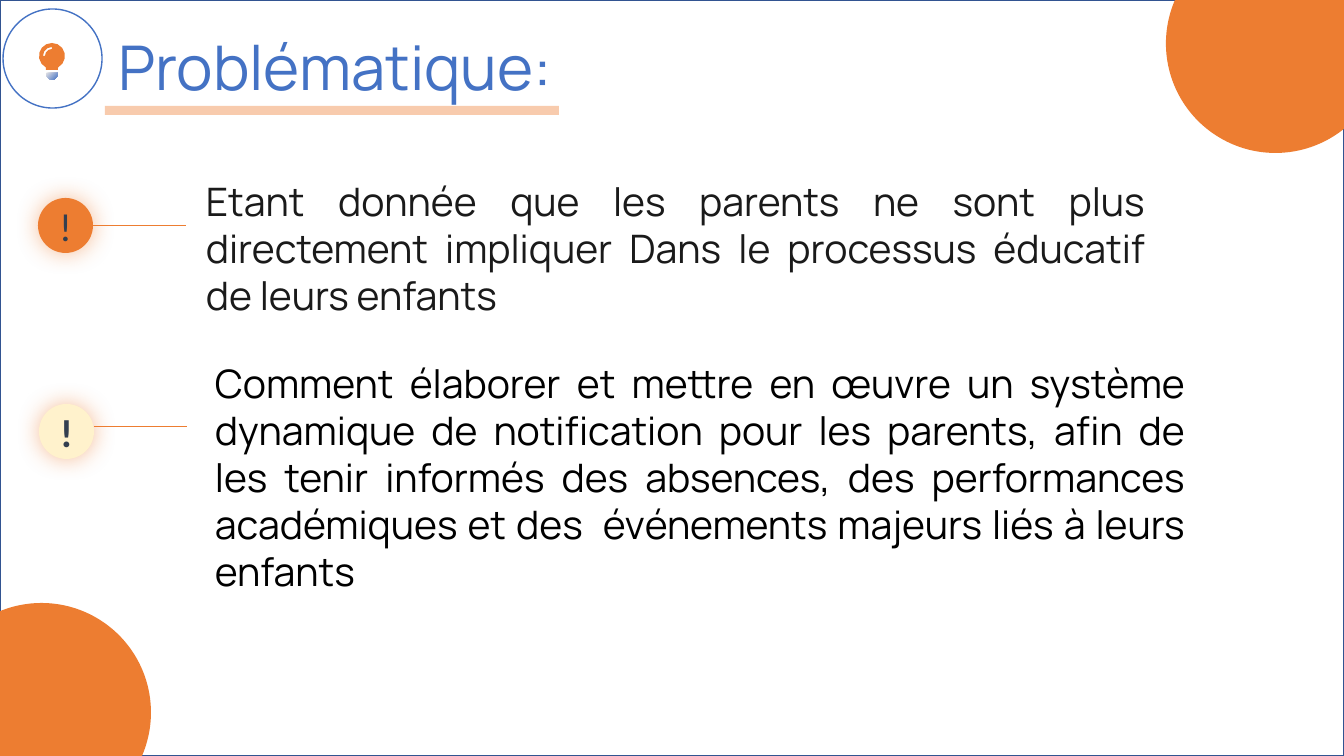
from math import cos, radians, sin

from lxml import etree
from pptx import Presentation
from pptx.dml.color import RGBColor
from pptx.enum.shapes import MSO_CONNECTOR, MSO_SHAPE
from pptx.enum.text import MSO_ANCHOR, MSO_AUTO_SIZE, PP_ALIGN
from pptx.oxml.ns import qn
from pptx.util import Pt

PX = 914400 / 100.8
TITLE_ONLY = 5
OVAL, RECTANGLE = MSO_SHAPE.OVAL, MSO_SHAPE.RECTANGLE
STRAIGHT = MSO_CONNECTOR.STRAIGHT
LEFT, CENTER, JUSTIFY = PP_ALIGN.LEFT, PP_ALIGN.CENTER, PP_ALIGN.JUSTIFY
MIDDLE = MSO_ANCHOR.MIDDLE
NO_AUTOFIT, GROW = MSO_AUTO_SIZE.NONE, MSO_AUTO_SIZE.SHAPE_TO_FIT_TEXT

WHITE = RGBColor(0xFF, 0xFF, 0xFF)
BLACK = RGBColor(0, 0, 0)
CHARCOAL = RGBColor(0x1A, 0x1A, 0x1A)
SLATE = RGBColor(0x33, 0x3F, 0x50)
BLUE = RGBColor(0x44, 0x72, 0xC4)
NAVY = RGBColor(0x32, 0x54, 0x91)
ORANGE = RGBColor(0xED, 0x7D, 0x31)
PEACH = RGBColor(0xF8, 0xCB, 0xAD)
CREAM = RGBColor(0xFF, 0xF2, 0xCC)
GRAY = RGBColor(0xE7, 0xE6, 0xE6)

CONTEXT = ("Etant donnée que les parents ne sont plus directement impliquer "
           "Dans le processus éducatif de leurs enfants")
QUESTION = ("Comment élaborer et mettre en œuvre un système dynamique de "
            "notification pour les parents, afin de les tenir informés des "
            "absences, des performances académiques et des  événements "
            "majeurs liés à leurs enfants")


def px(*values):
    return [round(value * PX) for value in values]


def set_text(shape, text, font_name, size, color, alignment, bold=False):
    shape.text_frame.text = text
    paragraph = shape.text_frame.paragraphs[0]
    paragraph.alignment = alignment
    font = paragraph.font
    font.name, font.size, font.bold = font_name, Pt(size), bold
    font.color.rgb = color
    return paragraph


def set_margins(text_frame, margin):
    text_frame.margin_left = text_frame.margin_right = margin
    text_frame.margin_top = text_frame.margin_bottom = margin
    text_frame.vertical_anchor = MIDDLE


def add_shape(slide, kind, box, fill=None, line=None):
    shape = slide.shapes.add_shape(kind, *px(*box))
    shape.shadow.inherit = False
    if fill is None:
        shape.fill.background()
    else:
        shape.fill.solid()
        shape.fill.fore_color.rgb = fill
    if line is None:
        shape.line.fill.background()
    else:
        shape.line.color.rgb = line
        shape.line.width = Pt(1)
    return shape


def add_title(slide, text, box):
    title = slide.shapes.title
    title.left, title.top, title.width, title.height = px(*box)
    title.text_frame.auto_size = NO_AUTOFIT
    set_margins(title.text_frame, *px(13))
    paragraph = set_text(title, text, "Manrope", 44, BLUE, LEFT)
    paragraph.line_spacing = 0.9
    return title


def add_body(slide, text, box, color):
    body = slide.shapes.add_textbox(*px(*box))
    body.text_frame.word_wrap = True
    body.text_frame.auto_size = GROW
    set_text(body, text, "Manrope", 28, color, JUSTIFY)


def add_glow(shape, color):
    effects = shape.element.spPr.find(qn("a:effectLst"))
    glow = etree.SubElement(effects, qn("a:outerShdw"),
                            blurRad=str(Pt(16.9)), dist="0", dir="0",
                            algn="ctr", rotWithShape="0")
    tint = etree.SubElement(glow, qn("a:srgbClr"), val=str(color))
    etree.SubElement(tint, qn("a:alpha"), val="50000")


def add_marker(slide, left, top, line_y, fill, bold):
    size, line_length = 55, 93
    marker = add_shape(slide, OVAL, (left, top, size, size), fill)
    add_glow(marker, ORANGE)
    set_margins(marker.text_frame, *px(10))
    set_text(marker, "!", "Calibri", 28, SLATE, CENTER, bold)
    start = left + size
    connector = slide.shapes.add_connector(
        STRAIGHT, *px(start, line_y, start + line_length, line_y))
    connector.line.color.rgb = ORANGE
    connector.line.width = Pt(0.75)
    etree.SubElement(connector.element.spPr, qn("a:effectLst"))


def arc(center_x, center_y, radius_x, radius_y, start, end, steps):
    angles = [radians(start + (end - start) * step / steps)
              for step in range(steps + 1)]
    return [px(center_x + radius_x * cos(angle),
               center_y + radius_y * sin(angle)) for angle in angles]


def add_outline(slide, *contours):
    builder = slide.shapes.build_freeform(*contours[0][0])
    builder.add_line_segments(contours[0][1:], close=True)
    for contour in contours[1:]:
        builder.move_to(*contour[0])
        builder.add_line_segments(contour[1:], close=True)
    shape = builder.convert_to_shape()
    shape.shadow.inherit = False
    shape.line.fill.background()
    return shape


def add_bulb(slide):
    glass = arc(52, 56, 13, 13, 118, 422, 12) + [px(58, 70), px(46, 70)]
    highlight = arc(52, 56, 9, 9, 180, 270, 3) + arc(52, 56, 7, 7, 270, 180, 3)
    bulb = add_outline(slide, glass, highlight)
    bulb.fill.solid()
    bulb.fill.fore_color.rgb = ORANGE

    socket = add_outline(slide, arc(52, 73, 6, 7, 0, 180, 6))
    socket.fill.gradient()
    socket.fill.gradient_angle = 315
    for stop, color in zip(socket.fill.gradient_stops, (GRAY, BLUE)):
        stop.color.rgb = color


def main():
    presentation = Presentation()
    presentation.slide_width, presentation.slide_height = px(1344, 756)
    slide = presentation.slides.add_slide(
        presentation.slide_layouts[TITLE_ONLY])

    title = add_title(slide, "Problématique:", (105, 36, 1134, 70))
    frame = add_shape(slide, RECTANGLE, (0, 0, 1344, 756), WHITE, NAVY)
    title.element.addprevious(frame.element)

    for left, top in ((1166, -66), (-68, 603)):
        add_shape(slide, OVAL, (left, top, 219, 219), ORANGE)
    add_shape(slide, RECTANGLE, (105, 106, 454, 9), PEACH)
    add_shape(slide, OVAL, (3, 9, 99, 99), line=BLUE)
    add_bulb(slide)

    add_marker(slide, 38, 198, 226, ORANGE, False)
    add_marker(slide, 39, 404, 427, CREAM, True)
    add_body(slide, QUESTION, (205, 354, 990, 248), BLACK)
    add_body(slide, CONTEXT, (196, 172, 959, 152), CHARCOAL)

    presentation.save("out.pptx")


if __name__ == "__main__":
    main()
